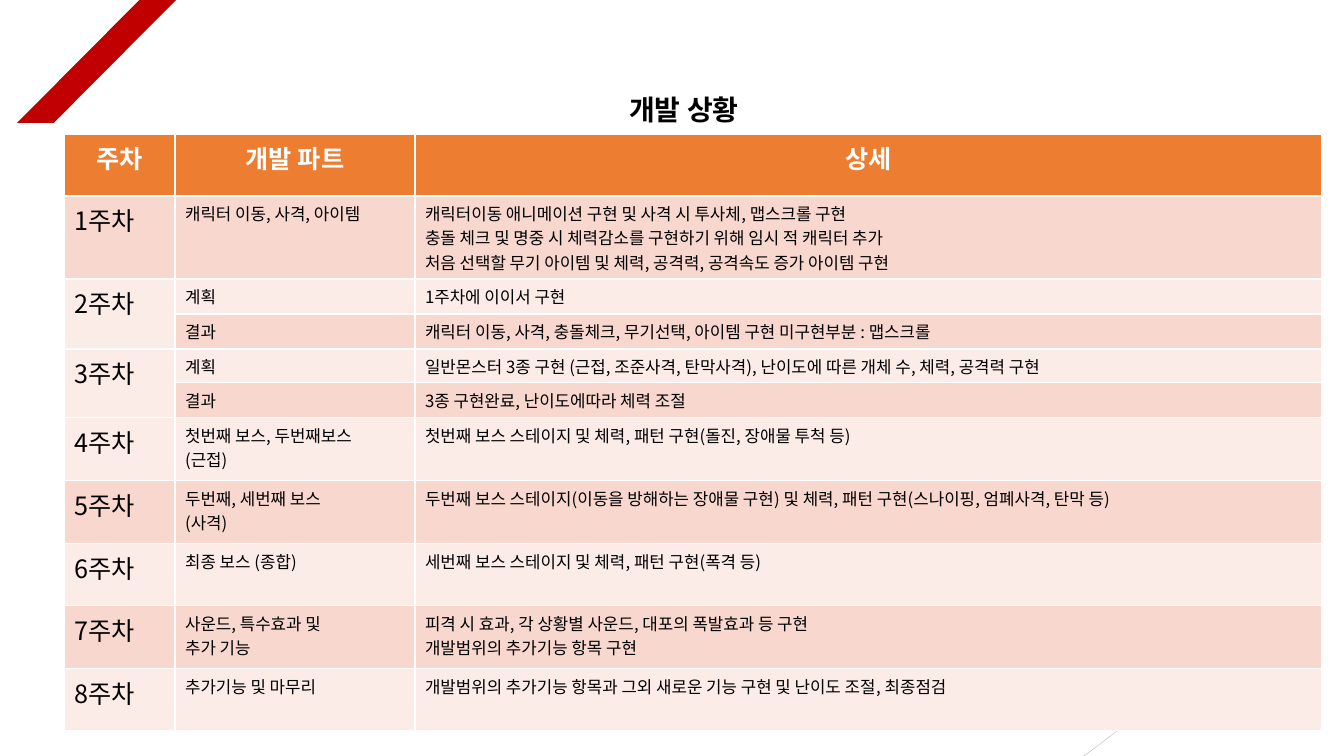
"""Build the weekly development status slide."""
from lxml.etree import SubElement
from pptx import Presentation
from pptx.dml.color import RGBColor
from pptx.enum.shapes import MSO_CONNECTOR, MSO_SHAPE
from pptx.enum.text import MSO_ANCHOR, PP_ALIGN
from pptx.oxml.ns import qn
from pptx.util import Emu, Pt

PX = 914400 / 100.8
FONT = "Noto Sans CJK KR"
RED = RGBColor(0xC0, 0x00, 0x00)
GRAY = RGBColor(0xA6, 0xA6, 0xA6)
BLACK = RGBColor(0x00, 0x00, 0x00)
WHITE = RGBColor(0xFF, 0xFF, 0xFF)
ORANGE = RGBColor(0xED, 0x7D, 0x31)
DARK = RGBColor(0xF8, 0xD7, 0xCE)
LIGHT = RGBColor(0xFC, 0xEC, 0xE8)

WIDTHS = [111, 240, 907]
ROWS = [
    (62, "주차", "개발 파트", "상세"),
    (83, "1주차", "캐릭터 이동, 사격, 아이템",
     "캐릭터이동 애니메이션 구현 및 사격 시 투사체, 맵스크롤 구현\n"
     "충돌 체크 및 명중 시 체력감소를 구현하기 위해 임시 적 캐릭터 추가\n"
     "처음 선택할 무기 아이템 및 체력, 공격력, 공격속도 증가 아이템 구현"),
    (35, "2주차", "계획", "1주차에 이이서 구현"),
    (35, "", "결과", "캐릭터 이동, 사격, 충돌체크, 무기선택, 아이템 구현 미구현부분 : 맵스크롤"),
    (34, "3주차", "계획",
     "일반몬스터 3종 구현 (근접, 조준사격, 탄막사격), 난이도에 따른 개체 수, 체력, 공격력 구현"),
    (35, "", "결과", "3종 구현완료, 난이도에따라 체력 조절"),
    (63, "4주차", "첫번째 보스, 두번째보스\n(근접)",
     "첫번째 보스 스테이지 및 체력, 패턴 구현(돌진, 장애물 투척 등)"),
    (63, "5주차", "두번째, 세번째 보스\n(사격)",
     "두번째 보스 스테이지(이동을 방해하는 장애물 구현) 및 체력, "
     "패턴 구현(스나이핑, 엄폐사격, 탄막 등)"),
    (62, "6주차", "최종 보스 (종합)", "세번째 보스 스테이지 및 체력, 패턴 구현(폭격 등)"),
    (63, "7주차", "사운드, 특수효과 및\n추가 기능",
     "피격 시 효과, 각 상황별 사운드, 대포의 폭발효과 등 구현\n개발범위의 추가기능 항목 구현"),
    (62, "8주차", "추가기능 및 마무리",
     "개발범위의 추가기능 항목과 그외 새로운 기능 구현 및 난이도 조절, 최종점검"),
]


def px(*nums):
    return [Emu(round(n * PX)) for n in nums]


def write(frame, text, size, color, bold, align):
    frame.text = text
    for para in frame.paragraphs:
        para.alignment = align
        font = para.font
        font.size, font.bold, font.name = Pt(size), bold, FONT
        font.color.rgb = color
        props = para._p.find(".//" + qn("a:defRPr"))
        SubElement(props, qn("a:ea"), typeface=FONT)


deck = Presentation()
deck.slide_width, deck.slide_height = px(1344, 756)
slide = deck.slides.add_slide(deck.slide_layouts[6])
shapes = slide.shapes

stripe = shapes.add_shape(MSO_SHAPE.PARALLELOGRAM, *px(17, 0, 159, 123))
stripe.adjustments[0] = 0.995
stripe.shadow.inherit = False
stripe.fill.solid()
stripe.fill.fore_color.rgb = RED
stripe.line.fill.background()

line = shapes.add_connector(MSO_CONNECTOR.STRAIGHT, *px(1084, 756, 1291, 600))
line.line.color.rgb = GRAY
line.line.width = Pt(0.2)
SubElement(line._element.spPr, qn("a:effectLst"))

title = shapes.add_textbox(*px(116, 83, 1136, 57)).text_frame
title.word_wrap = True
title.vertical_anchor = MSO_ANCHOR.MIDDLE
write(title, "개발 상황", 20, BLACK, True, PP_ALIGN.CENTER)
title.paragraphs[0].line_spacing = 0.9

high = sum(row[0] for row in ROWS)
table = shapes.add_table(len(ROWS), 3, *px(64, 134, sum(WIDTHS), high)).table
table.horz_banding = False
for col, width in zip(table.columns, px(*WIDTHS)):
    col.width = width
for top in (2, 4):
    table.cell(top, 0).merge(table.cell(top + 1, 0))

for r, (height, *texts) in enumerate(ROWS):
    table.rows[r].height = px(height)[0]
    head = r == 0
    for c, text in enumerate(texts):
        cell = table.cell(r, c)
        props = cell._tc.get_or_add_tcPr()
        for side in ("lnL", "lnR", "lnT", "lnB"):
            edge = SubElement(props, qn("a:" + side), w=str(Pt(1)))
            paint = SubElement(edge, qn("a:solidFill"))
            SubElement(paint, qn("a:srgbClr"), val=str(WHITE))
        cell.fill.solid()
        cell.fill.fore_color.rgb = ORANGE if head else DARK if r % 2 else LIGHT
        if not cell.is_spanned:
            write(cell.text_frame, text, 18 if head or c == 0 else 12,
                  WHITE if head else BLACK, head,
                  PP_ALIGN.CENTER if head else PP_ALIGN.LEFT)

deck.save("out.pptx")
